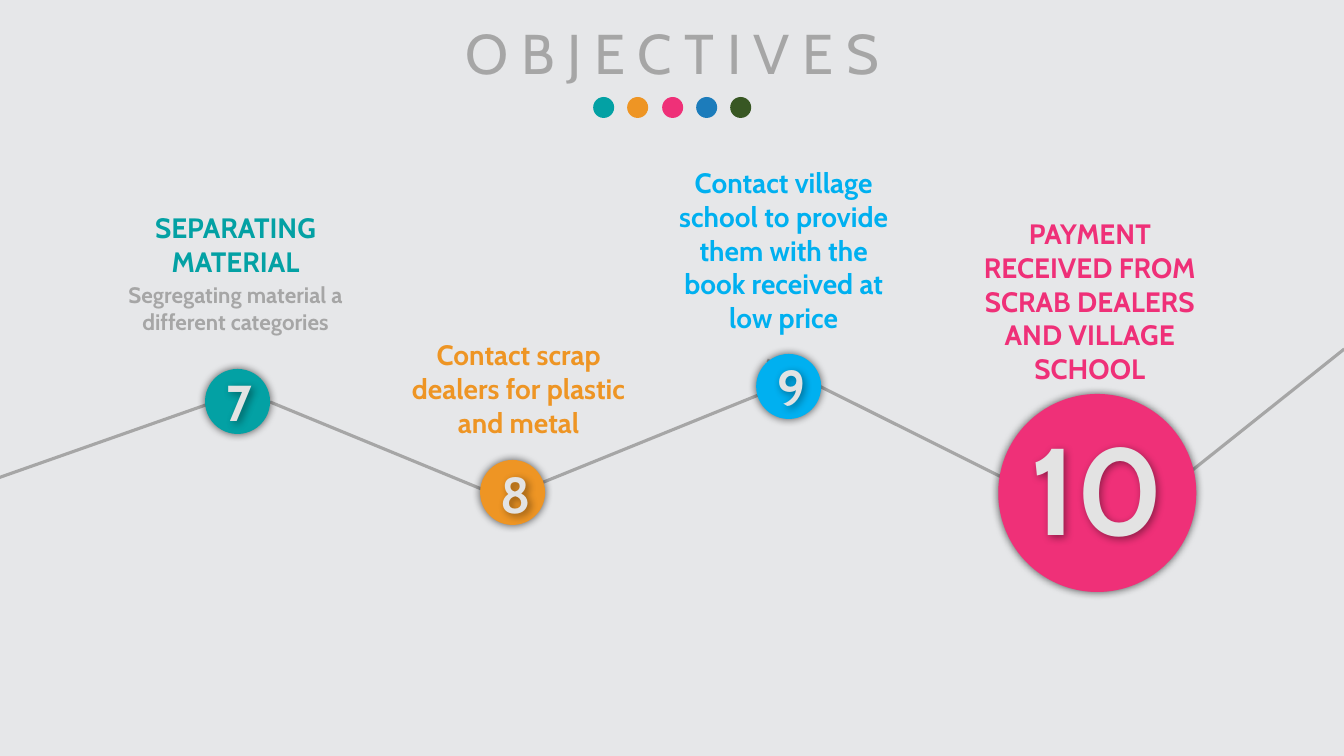
import pptx
import pptx.dml.color
import pptx.enum.shapes
import pptx.enum.text
import pptx.oxml
import pptx.oxml.ns
import pptx.util
from dataclasses import dataclass

PIXEL = 914400 / 100.8


@dataclass(frozen=True)
class Theme:
    """Colours, font and type sizes of the slide."""
    font: str = "Cabin"
    background: str = "E6E7E9"
    grey: str = "A6A6A6"
    number: str = "E3E3E3"
    teal: str = "03A1A4"
    orange: str = "EE9524"
    pink: str = "EF3078"
    blue: str = "1C7CBB"
    green: str = "385723"
    sky: str = "00B0F0"
    title_size: int = 40
    heading_size: int = 20
    detail_size: int = 16
    number_size: int = 36
    large_number_size: int = 88


theme = Theme()
rgb = pptx.dml.color.RGBColor.from_string
presentation = pptx.Presentation()
presentation.slide_width = pptx.util.Inches(13.33)
presentation.slide_height = pptx.util.Inches(7.5)
slide = presentation.slides.add_slide(presentation.slide_layouts[6])
slide.background.fill.solid()
slide.background.fill.fore_color.rgb = rgb(theme.background)

SHADOW = (
    f'<a:effectLst {pptx.oxml.ns.nsdecls("a")}>'
    '<a:outerShdw blurRad="76200" dist="{distance}" dir="2700000" algn="ctr" rotWithShape="0">'
    '<a:srgbClr val="000000"><a:alpha val="{opacity}"/></a:srgbClr>'
    '</a:outerShdw></a:effectLst>'
)


def add_text(box, text, size, color, bold=True):
    """Add a centred text box; box holds left, top, width and height in pixels."""
    shape = slide.shapes.add_textbox(*(round(value * PIXEL) for value in box))
    shape.text_frame.word_wrap = True
    paragraph = shape.text_frame.paragraphs[0]
    paragraph.alignment = pptx.enum.text.PP_ALIGN.CENTER
    run = paragraph.add_run()
    run.text = text
    run.font.name = theme.font
    run.font.size = pptx.util.Pt(size)
    run.font.bold = bold
    run.font.color.rgb = rgb(color)
    return shape


def add_circle(left, top, diameter, color):
    """Add a plain filled circle, measured in pixels."""
    shape = slide.shapes.add_shape(
        pptx.enum.shapes.MSO_SHAPE.OVAL,
        *(round(value * PIXEL) for value in (left, top, diameter, diameter)))
    shape.fill.solid()
    shape.fill.fore_color.rgb = rgb(color)
    shape.line.fill.background()
    shape.shadow.inherit = False
    return shape


# Timeline segments
segments = [
    (217, 401, -2, 478),
    (491, 493, 270, 402),
    (514, 494, 778, 387),
    (1033, 493, 767, 360),
    (1344, 349, 1171, 487),
]
for segment in segments:
    connector = slide.shapes.add_connector(
        pptx.enum.shapes.MSO_CONNECTOR.STRAIGHT,
        *(round(value * PIXEL) for value in segment))
    connector.line.color.rgb = rgb(theme.grey)
    connector.line.width = pptx.util.Pt(2.25)
    connector._element.spPr.append(pptx.oxml.parse_xml(
        f'<a:effectLst {pptx.oxml.ns.nsdecls("a")}/>'))

# Title and its row of dots
add_text((271, 14, 802, 78), "O B J E C T I V E S", theme.title_size, theme.grey, bold=False)
dot_colors = [theme.teal, theme.orange, theme.pink, theme.blue, theme.green]
for index, color in enumerate(dot_colors):
    add_circle(round(593 + 34.3 * index), 97, 21, color)

# Numbered milestones: circle left, top, diameter, colour, number, number box, size
milestones = [
    (998, 394, 198, theme.pink, "10", (991, 407, 211, 159), theme.large_number_size),
    (205, 369, 65, theme.teal, "7", (217, 366, 42, 72), theme.number_size),
    (480, 460, 65, theme.orange, "8", (491, 458, 42, 72), theme.number_size),
    (756, 354, 65, theme.sky, "9", (767, 351, 42, 72), theme.number_size),
]
for left, top, diameter, color, number, box, size in milestones:
    circle = add_circle(left, top, diameter, color)
    label = add_text(box, number, size, theme.number)
    label.text_frame.word_wrap = False
    for shape, distance, opacity in ((circle, 0, 60000), (label, 25400, 40000)):
        properties = shape._element.spPr
        for effects in properties.findall(pptx.oxml.ns.qn("a:effectLst")):
            properties.remove(effects)
        properties.append(pptx.oxml.parse_xml(
            SHADOW.format(distance=distance, opacity=opacity)))

# Objective texts: left, top, height, wording, size, colour
objectives = [
    (972, 212, 179, "PAYMENT RECEIVED FROM SCRAB DEALERS AND VILLAGE SCHOOL",
     theme.heading_size, theme.pink),
    (118, 206, 78, "SEPARATING MATERIAL", theme.heading_size, theme.teal),
    (118, 276, 65, "Segregating material a different categories",
     theme.detail_size, theme.grey),
    (401, 333, 151, "Contact scrap dealers for plastic and metal",
     theme.heading_size, theme.orange),
    (666, 161, 179, "Contact village school to provide them with the book received at low price",
     theme.heading_size, theme.sky),
]
for left, top, height, wording, size, color in objectives:
    add_text((left, top, 235, height), wording, size, color)

presentation.save("out.pptx")
